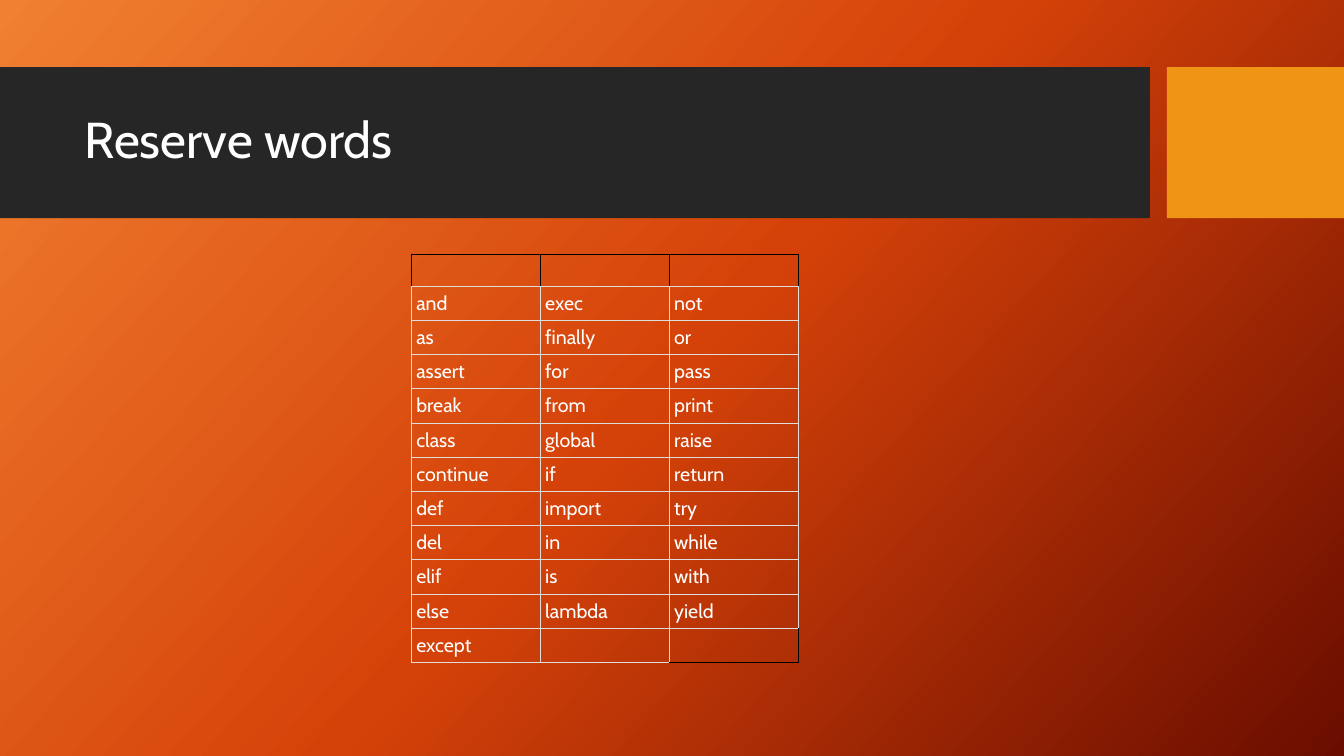
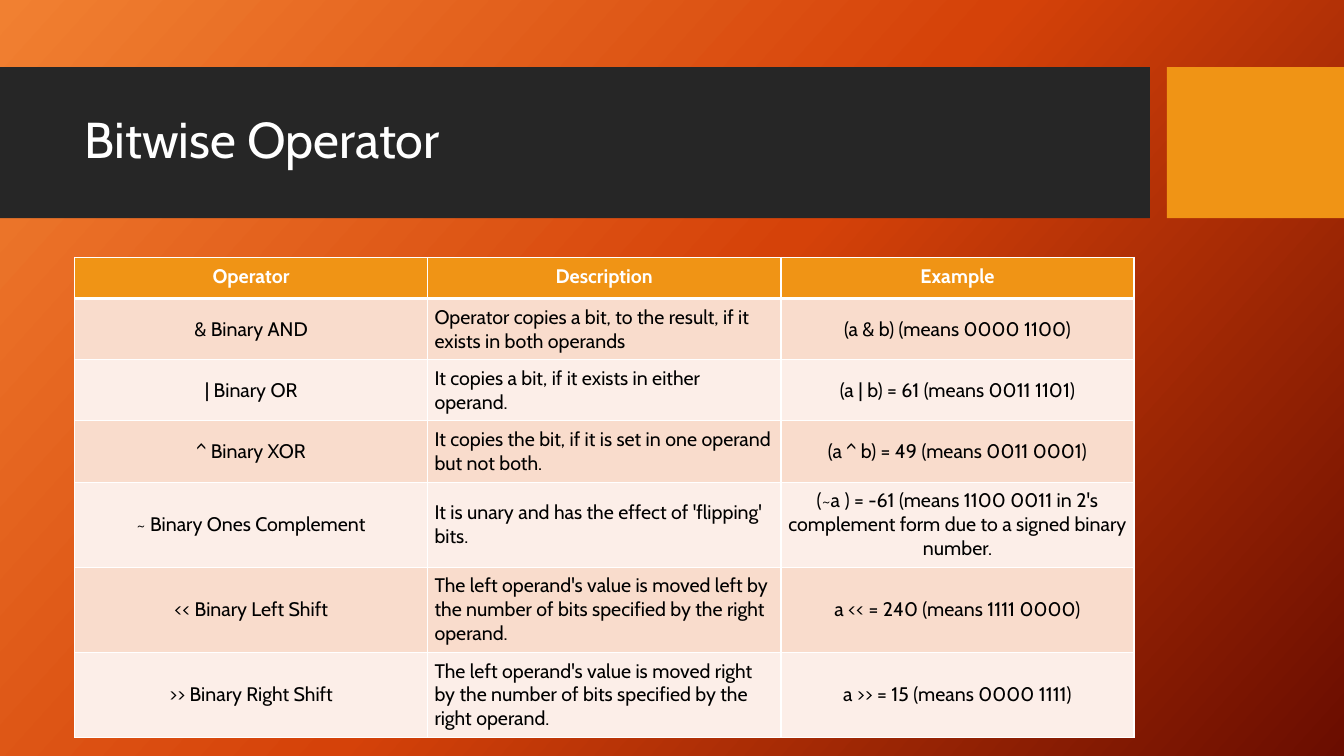
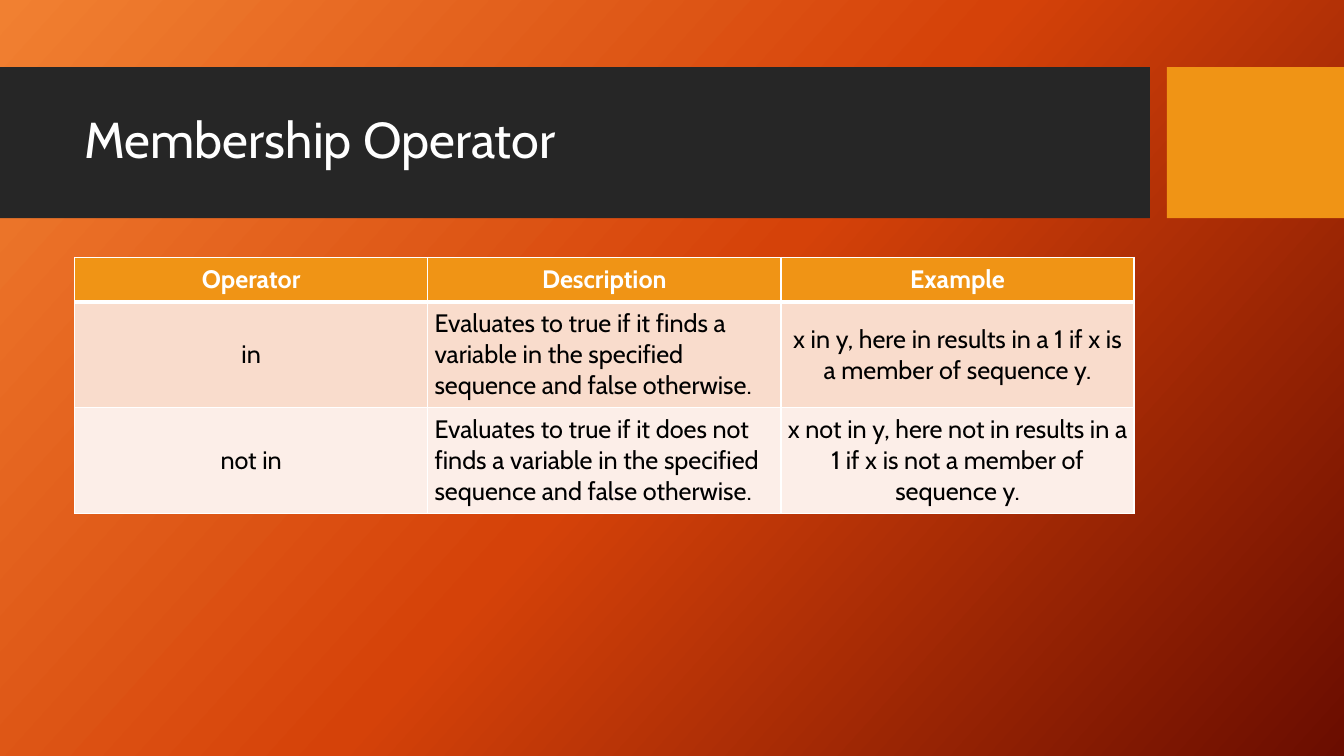
import copy

import pptx
import pptx.dml.color
import pptx.enum.shapes
import pptx.enum.text
import pptx.oxml
import pptx.oxml.ns
import pptx.util
from lxml import etree

Cm = pptx.util.Cm
Pt = pptx.util.Pt
RGBColor = pptx.dml.color.RGBColor
qn = pptx.oxml.ns.qn
ANCHOR = pptx.enum.text.MSO_ANCHOR
ALIGN = pptx.enum.text.PP_ALIGN

WHITE = RGBColor(0xFF, 0xFF, 0xFF)
BLACK = RGBColor(0x00, 0x00, 0x00)
CHARCOAL = RGBColor(0x26, 0x26, 0x26)
AMBER = RGBColor(0xF0, 0x94, 0x15)
GRAY = RGBColor(0xDD, 0xDD, 0xDD)
ROW_TINTS = (RGBColor(0xF9, 0xDC, 0xCC), RGBColor(0xFC, 0xEE, 0xE8))
BACKDROP = (
    (0, RGBColor(0xF1, 0x80, 0x31)),
    (0.5, RGBColor(0xD5, 0x42, 0x09)),
    (1, RGBColor(0x6A, 0x0D, 0x00)),
)

RESERVED_WORDS = (
    "and as assert break class continue def del elif else except".split(),
    "exec finally for from global if import in is lambda".split(),
    "not or pass print raise return try while with yield".split(),
)
HEADINGS = ("Operator", "Description", "Example")
BITWISE = (
    ("& Binary AND",
     "Operator copies a bit, to the result, if it exists in both operands",
     "(a & b) (means 0000 1100)"),
    ("| Binary OR",
     "It copies a bit, if it exists in either operand.",
     "(a | b) = 61 (means 0011 1101)"),
    ("^ Binary XOR",
     "It copies the bit, if it is set in one operand but not both.",
     "(a ^ b) = 49 (means 0011 0001)"),
    ("~ Binary Ones Complement",
     "It is unary and has the effect of 'flipping' bits.",
     "(~a ) = -61 (means 1100 0011 in 2's complement form due to a signed binary number."),
    ("<< Binary Left Shift",
     "The left operand's value is moved left by the number of bits specified by the right operand.",
     "a << = 240 (means 1111 0000)"),
    (">> Binary Right Shift",
     "The left operand's value is moved right by the number of bits specified by the right operand.",
     "a >> = 15 (means 0000 1111)"),
)
MEMBERSHIP = (
    ("in",
     "Evaluates to true if it finds a variable in the specified sequence and false otherwise.",
     "x in y, here in results in a 1 if x is a member of sequence y."),
    ("not in",
     "Evaluates to true if it does not finds a variable in the specified sequence "
     "and false otherwise.",
     "x not in y, here not in results in a 1 if x is not a member of sequence y."),
)


class Deck:
    FONT = "Cabin"
    WIDTH = 33.87
    BAND_TOP = 1.69
    BAND_HEIGHT = 3.81

    def __init__(self):
        self.deck = pptx.Presentation()
        self.deck.slide_width = Cm(self.WIDTH)
        self.deck.slide_height = Cm(19.05)
        self.layout = self.deck.slide_layouts[5]
        self.slide = None
        self.backdrop()

    def backdrop(self):
        master = self.deck.slide_master
        fill = master.background.fill
        fill.gradient()
        fill.gradient_angle = 360 - 42
        stop_list = master.element.find(".//" + qn("a:gsLst"))
        stop_list.append(copy.deepcopy(stop_list[0]))
        for stop, (position, color) in zip(fill.gradient_stops, BACKDROP):
            stop.position = position
            stop.color.rgb = color

    def band(self, left, width, color):
        band = self.slide.shapes.add_shape(
            pptx.enum.shapes.MSO_SHAPE.RECTANGLE,
            Cm(left), Cm(self.BAND_TOP), Cm(width), Cm(self.BAND_HEIGHT))
        band.shadow.inherit = False
        band.fill.solid()
        band.fill.fore_color.rgb = color
        band.line.fill.background()
        self.layout.shapes.element.insert(2, band.element)

    def start_slide(self, heading):
        self.slide = self.deck.slides.add_slide(self.layout)
        if len(self.deck.slides) == 1:
            self.band(0, 28.98, CHARCOAL)
            self.band(29.41, self.WIDTH - 29.41, AMBER)
        title = self.slide.shapes.title
        title.left, title.top = Cm(1.88), Cm(2.08)
        title.width, title.height = Cm(26.7), Cm(3)
        frame = title.text_frame
        frame.word_wrap = True
        frame.vertical_anchor = ANCHOR.MIDDLE
        paragraph = frame.paragraphs[0]
        paragraph.alignment = ALIGN.LEFT
        paragraph.line_spacing = 0.9
        self.run(paragraph, heading, 36, WHITE)

    def run(self, paragraph, text, size, color, bold=False):
        run = paragraph.add_run()
        run.text = text
        run.font.name = self.FONT
        run.font.size = Pt(size)
        run.font.bold = bold
        run.font.color.rgb = color

    def grid(self, left, top, column_width, row_heights, columns=3):
        frame = self.slide.shapes.add_table(
            len(row_heights), columns, Cm(left), Cm(top),
            Cm(column_width * columns), Cm(sum(row_heights)))
        table = frame.table
        table.first_row = table.horz_banding = False
        for column in table.columns:
            column.width = Cm(column_width)
        for row, height in zip(table.rows, row_heights):
            row.height = Cm(height)
        return table

    def borders(self, cell, sides):
        properties = cell._tc.get_or_add_tcPr()
        for side in "LRTB":
            if side in sides:
                color, width = sides[side]
                line = etree.SubElement(properties, qn("a:ln" + side), w=str(Pt(width)))
                solid = etree.SubElement(line, qn("a:solidFill"))
                etree.SubElement(solid, qn("a:srgbClr"), val=str(color))

    def cell(self, cell, text, size, color, inset, sides, tint=None,
             bold=False, align=ALIGN.LEFT, anchor=ANCHOR.TOP):
        self.borders(cell, sides)
        if tint is None:
            cell.fill.background()
        else:
            cell.fill.solid()
            cell.fill.fore_color.rgb = tint
        margin = Cm(inset if text else 0)
        cell.margin_left = cell.margin_right = margin
        cell.margin_top = cell.margin_bottom = margin
        cell.vertical_anchor = anchor
        paragraph = cell.text_frame.paragraphs[0]
        paragraph.alignment = align
        if text:
            self.run(paragraph, text, size, color, bold)

    def word_table(self, word_columns):
        word_rows = max(map(len, word_columns))
        table = self.grid(10.36, 6.4, 3.25, [0.81] + [0.85] * word_rows)
        last_column = len(word_columns) - 1
        for c, words in enumerate(word_columns):
            padded = [""] + words + [""] * (word_rows - len(words))
            for r, word in enumerate(padded):
                dark = "LRT" if r == 0 else ""
                if (r, c) == (word_rows, last_column):
                    dark = "RB"
                sides = {side: (BLACK if side in dark else GRAY, 0.6) for side in "LRTB"}
                self.cell(table.cell(r, c), word, 14, WHITE, 0.13, sides)

    def operator_table(self, operators, size):
        table = self.grid(1.88, 6.49, 8.9, [1.03] * (len(operators) + 1))
        thin, thick = (WHITE, 1), (WHITE, 3)
        for c, heading in enumerate(HEADINGS):
            self.cell(table.cell(0, c), heading, size, WHITE, 0.17,
                      {"L": thin, "R": thin, "T": thin, "B": thick},
                      AMBER, True, ALIGN.CENTER)
        for r, operator in enumerate(operators, 1):
            for c, text in enumerate(operator):
                self.cell(table.cell(r, c), text, size, BLACK, 0.17,
                          {"L": thin, "R": thin, "T": thick if r == 1 else thin, "B": thin},
                          ROW_TINTS[(r - 1) % 2],
                          align=ALIGN.LEFT if c == 1 else ALIGN.CENTER,
                          anchor=ANCHOR.MIDDLE)


def main():
    deck = Deck()
    deck.start_slide("Reserve words")
    deck.word_table(RESERVED_WORDS)
    deck.start_slide("Bitwise Operator")
    deck.operator_table(BITWISE, 14)
    deck.start_slide("Membership Operator")
    deck.operator_table(MEMBERSHIP, 18)
    deck.deck.save("out.pptx")


if __name__ == "__main__":
    main()
